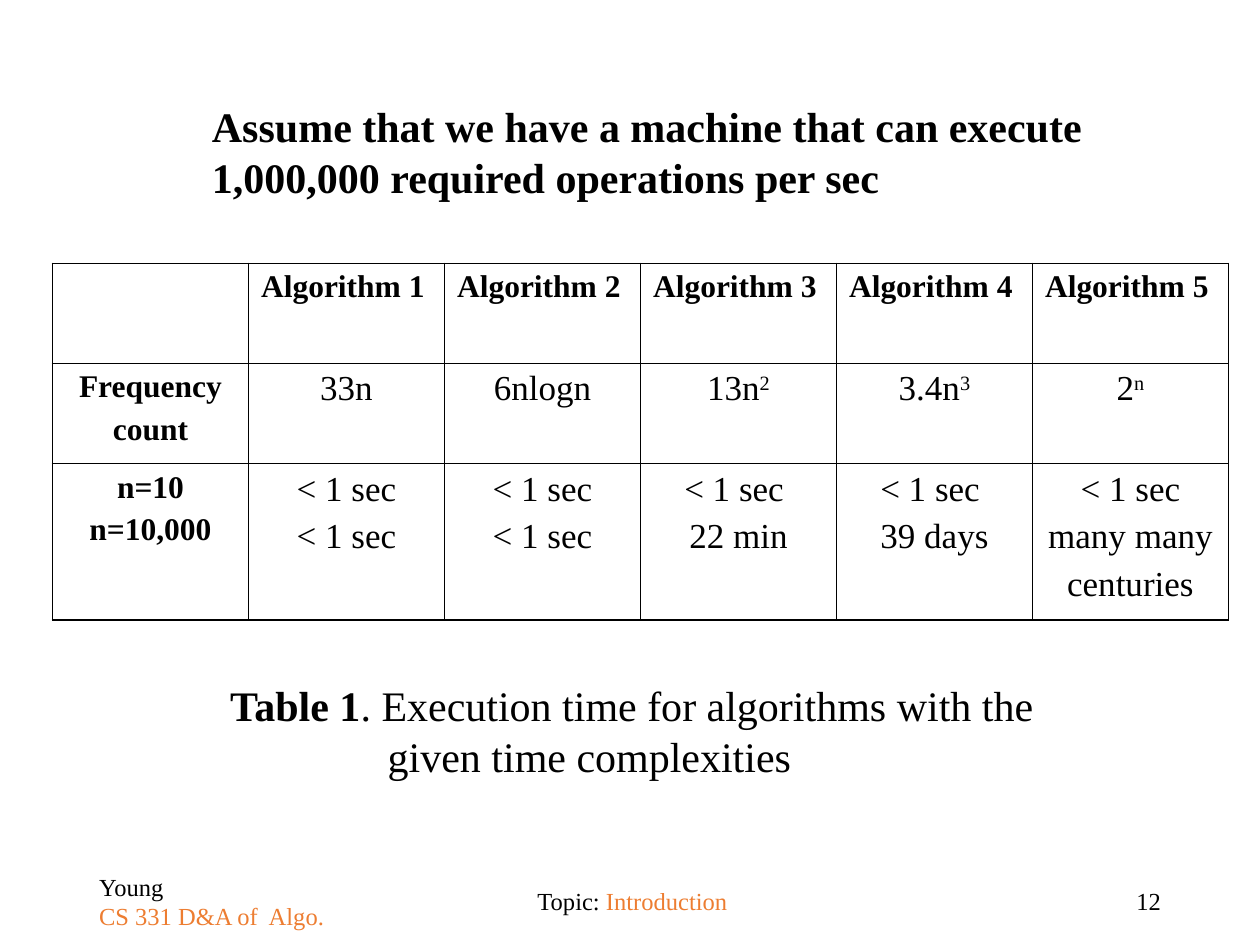
import pptx
import pptx.util
import pptx.dml.color
import pptx.enum.text
import pptx.oxml
import pptx.oxml.ns
from lxml import etree

Pt = pptx.util.Pt
ALIGN = pptx.enum.text.PP_ALIGN
ANCHOR = pptx.enum.text.MSO_ANCHOR
COLORS = {"text": "000000", "accent": "ED7D31", "border": "000000", "background": "FFFFFF"}
FONT = "Times New Roman"


def add_text(paragraph, text, size=20, bold=False, color="text", superscript=False):
    """Append formatted text; a newline becomes a line break."""
    for index, line in enumerate(text.split("\n")):
        if index:
            paragraph.add_line_break()
        run = paragraph.add_run()
        run.text = line
        run.font.name = FONT
        run.font.size = Pt(size)
        run.font.bold = bold
        run.font.color.rgb = pptx.dml.color.RGBColor.from_string(COLORS[color])
        if superscript:
            run.font._element.set("baseline", "30000")


class SlideBuilder:
    thin, thick = 0.45, 1.08

    def __init__(self, slide):
        self.slide = slide
        fill = slide.background.fill
        fill.solid()
        fill.fore_color.rgb = pptx.dml.color.RGBColor.from_string(COLORS["background"])

    def fill_frame(self, frame, paragraphs, align, space_before=0, **style):
        """Each paragraph is a list of (text, format) runs."""
        for index, runs in enumerate(paragraphs):
            paragraph = frame.add_paragraph() if index else frame.paragraphs[0]
            paragraph.alignment = align
            paragraph.space_before = Pt(space_before)
            for text, run_format in runs:
                add_text(paragraph, text, **{**style, **run_format})

    def text_box(self, left, top, width, height, paragraphs, align=ALIGN.LEFT,
                 anchor=ANCHOR.TOP, hanging=0, **style):
        shape = self.slide.shapes.add_textbox(Pt(left), Pt(top), Pt(width), Pt(height))
        frame = shape.text_frame
        frame.word_wrap = True
        frame.vertical_anchor = anchor
        self.fill_frame(frame, paragraphs, align, **style)
        if hanging:
            properties = frame.paragraphs[0]._p.get_or_add_pPr()
            properties.set("marL", str(Pt(hanging)))
            properties.set("indent", str(-Pt(hanging)))

    def border(self, cell, side, width):
        properties = cell._tc.get_or_add_tcPr()
        qn = pptx.oxml.ns.qn
        line = etree.SubElement(properties, qn("a:ln" + side), w=str(Pt(width)))
        fill = etree.SubElement(line, qn("a:solidFill"))
        etree.SubElement(fill, qn("a:srgbClr"), val=COLORS["border"])

    def table(self, left, top, column_width, row_heights, rows):
        column_count = len(rows[0])
        table = self.slide.shapes.add_table(
            len(rows), column_count, Pt(left), Pt(top),
            Pt(column_width * column_count), Pt(sum(row_heights))).table
        table.first_row = table.horz_banding = False
        for column in table.columns:
            column.width = Pt(column_width)
        last_row, last_column = len(rows) - 1, column_count - 1
        for row_index, row in enumerate(rows):
            table.rows[row_index].height = Pt(row_heights[row_index])
            for column_index, paragraphs in enumerate(row):
                cell = table.cell(row_index, column_index)
                cell.margin_left = cell.margin_right = Pt(7.2)
                cell.margin_top = cell.margin_bottom = Pt(3.6)
                # Outer edges are thick, inner ones thin
                outer = {"L": column_index == 0, "R": column_index == last_column,
                         "T": row_index == 0, "B": row_index == last_row}
                for side, is_outer in outer.items():
                    self.border(cell, side, self.thick if is_outer else self.thin)
                cell.fill.background()
                # Headings are smaller and bold
                heading = row_index == 0 or column_index == 0
                size = 18 if heading else 20
                self.fill_frame(cell.text_frame, paragraphs,
                                ALIGN.CENTER if row_index else ALIGN.LEFT,
                                space_before=size / 4, size=size, bold=heading)


def lines(*texts):
    return [[(text, {})] for text in texts]


def power(base, exponent):
    return [[(base, {}), (exponent, {"superscript": True})]]


presentation = pptx.Presentation()
presentation.slide_width, presentation.slide_height = Pt(720), Pt(540)
builder = SlideBuilder(presentation.slides.add_slide(presentation.slide_layouts[6]))

# Footer
footer = {"top": 500.5, "height": 28.8, "anchor": ANCHOR.MIDDLE, "size": 14}
accent = {"color": "accent"}
builder.text_box(left=49.5, width=162, **footer,
                 paragraphs=[[("Young", {})], [("CS 331 D&A of  Algo.", accent)]])
builder.text_box(left=238.5, width=242.5, align=ALIGN.CENTER, **footer,
                 paragraphs=[[(" Topic: ", {}), ("Introduction", accent)]])
builder.text_box(left=508.5, width=162, align=ALIGN.RIGHT, **footer,
                 paragraphs=lines("12"))

# Execution times
builder.table(30, 150.5, 112, [57, 57.5, 89.3], [
    [[]] + [lines(f"Algorithm {number}") for number in range(1, 6)],
    [lines("Frequency", "count"), lines("33n"), lines("6nlogn"),
     power("13n", "2"), power("3.4n", "3"), power("2", "n")],
    [lines("n=10", "n=10,000"), lines("< 1 sec", "< 1 sec"), lines("< 1 sec", "< 1 sec"),
     lines("< 1 sec ", "22 min"), lines("< 1 sec ", "39 days"),
     lines("< 1 sec", "many many", "centuries")],
])

# Caption and assumption
builder.text_box(124.5, 385, 529, 65, hanging=90, size=24, paragraphs=[[
    ("Table 1", {"bold": True}),
    (". Execution time for algorithms with the\ngiven time complexities", {})]])
builder.text_box(114, 54, 529, 65, size=24, bold=True, paragraphs=lines(
    "Assume that we have a machine that can execute 1,000,000 required operations per sec"))

presentation.save("out.pptx")
